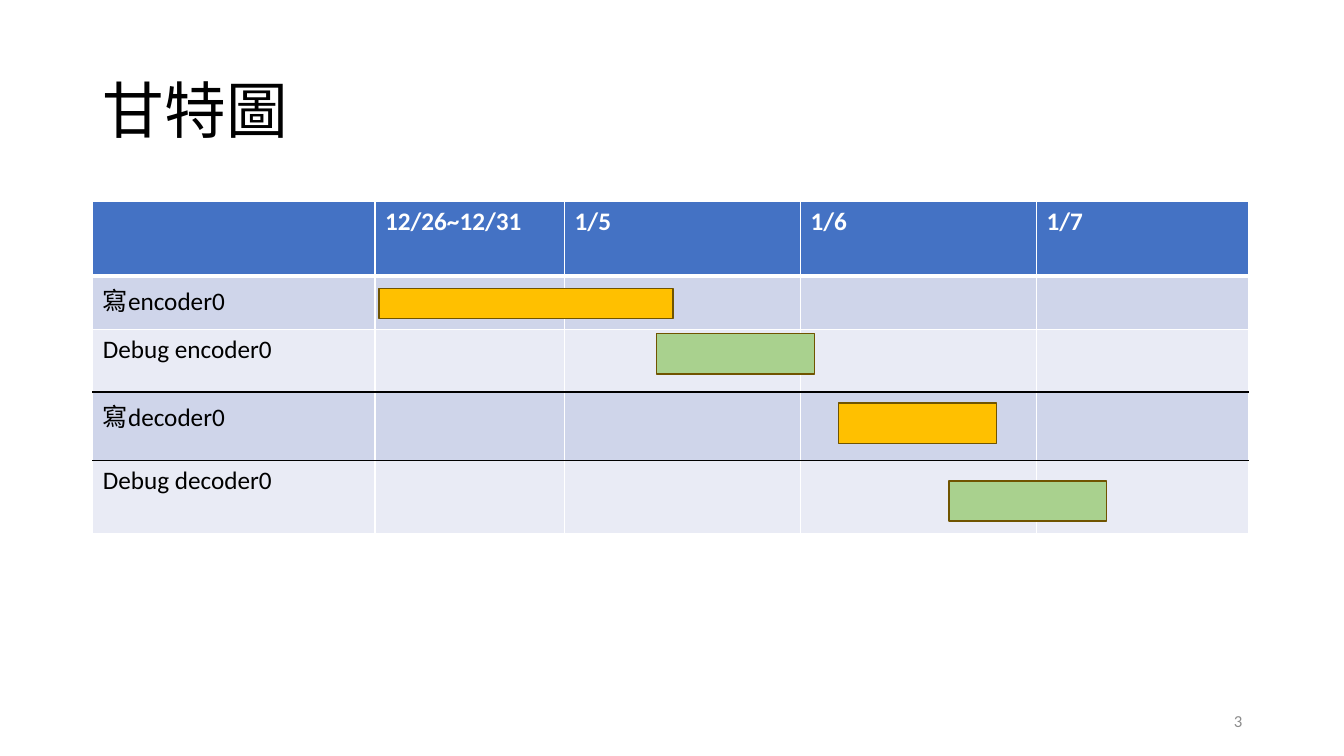
from itertools import accumulate
from typing import Any, NamedTuple

from lxml import etree
from pptx import Presentation, util as u
from pptx.dml.color import RGBColor
from pptx.enum import shapes, text
from pptx.oxml.ns import qn

FONT = "Calibri"
WHITE, BLACK = "FFFFFF", "000000"
AMBER, GREEN = "FFC000", "A9D18E"
LEFT, TOP = 0.92, 2
COLS = [2.8, 1.88, 2.34, 2.34, 2.1]
ROWS = [0.74, 0.53, 0.62, 0.68, 0.72]
DATES = ["", "12/26~12/31", "1/5", "1/6", "1/7"]
TASKS = ["寫encoder0", "Debug encoder0", "寫decoder0", "Debug decoder0"]


class Edge(NamedTuple):
    color: str = WHITE
    width: float = 1


# Horizontal rules from the top of the table to its bottom
RULES = [Edge(), Edge(width=3), Edge(), Edge(BLACK), Edge(BLACK), Edge()]


class Bar(NamedTuple):
    """Start and end, in table columns and rows; 2.5 is halfway through index 2."""
    left: float
    right: float
    top: float
    bottom: float
    color: str


BARS = [
    Bar(1.02, 2.46, 1.23, 1.79, AMBER),
    Bar(2.39, 3.06, 2.06, 2.71, GREEN),
    Bar(3.16, 3.83, 3.16, 3.75, AMBER),
    Bar(3.63, 4.33, 4.28, 4.83, GREEN),
]


def rgb(code: str) -> RGBColor:
    return RGBColor.from_string(code)


def assign(item: Any, values: dict[str, Any]) -> None:
    for name, value in values.items():
        setattr(item, name, value)


def write(frame: Any, words: str, size: float, color: str,
          bold: bool = False, **layout: Any) -> None:
    para = frame.paragraphs[0]
    assign(para, layout)
    run = para.add_run()
    run.text = words
    assign(run.font, {"name": FONT, "size": u.Pt(size), "bold": bold})
    run.font.color.rgb = rgb(color)


def border(cell: Any, side: str, edge: Edge) -> None:
    props = cell._tc.get_or_add_tcPr()
    line = etree.SubElement(props, qn(f"a:ln{side}"), w=str(u.Pt(edge.width)))
    fill = etree.SubElement(line, qn("a:solidFill"))
    etree.SubElement(fill, qn("a:srgbClr"), val=edge.color)


def place(spot: float, sizes: list[float], start: float) -> u.Length:
    """Turn a fractional grid index into a length on the slide."""
    index = int(spot)
    edges = list(accumulate(sizes, initial=start))
    return u.Inches(edges[index] + (spot - index) * sizes[index])


def add_grid(slide: Any) -> None:
    box = [u.Inches(n) for n in (LEFT, TOP, sum(COLS), sum(ROWS))]
    table = slide.shapes.add_table(len(ROWS), len(COLS), *box).table
    for col, width in zip(table.columns, COLS):
        col.width = u.Inches(width)
    for row, height in zip(table.rows, ROWS):
        row.height = u.Inches(height)
    words = [DATES] + [[task] + [""] * (len(COLS) - 1) for task in TASKS]
    for r, line in enumerate(words):
        head = r == 0
        shade = "4472C4" if head else "CFD5EA" if r % 2 else "E9EBF5"
        for c, label in enumerate(line):
            cell = table.cell(r, c)
            sides = {"L": Edge(), "R": Edge(), "T": RULES[r], "B": RULES[r + 1]}
            for side, edge in sides.items():
                border(cell, side, edge)
            cell.fill.solid()
            cell.fill.fore_color.rgb = rgb(shade)
            if label:
                write(cell.text_frame, label, 18, WHITE if head else BLACK, head)


def add_bar(slide: Any, bar: Bar) -> None:
    left, right = (place(x, COLS, LEFT) for x in (bar.left, bar.right))
    top, base = (place(y, ROWS, TOP) for y in (bar.top, bar.bottom))
    shape = slide.shapes.add_shape(
        shapes.MSO_SHAPE.RECTANGLE, left, top, right - left, base - top)
    shape.shadow.inherit = False
    shape.fill.solid()
    shape.fill.fore_color.rgb = rgb(bar.color)
    shape.line.color.rgb = rgb("705400")
    shape.line.width = u.Pt(1)


def main() -> None:
    deck = Presentation()
    assign(deck, {"slide_width": u.Inches(13.33), "slide_height": u.Inches(7.5)})
    slide = deck.slides.add_slide(deck.slide_layouts[5])
    middle = {"vertical_anchor": text.MSO_ANCHOR.MIDDLE, "word_wrap": True}

    title = slide.shapes.title
    assign(title, {"left": u.Inches(LEFT), "top": u.Inches(0.4),
                   "width": u.Inches(11.5), "height": u.Inches(1.45)})
    assign(title.text_frame, middle)
    write(title.text_frame, "甘特圖", 44, BLACK,
          alignment=text.PP_ALIGN.LEFT, line_spacing=0.9)

    add_grid(slide)
    for bar in BARS:
        add_bar(slide, bar)

    number = slide.shapes.add_textbox(
        *[u.Inches(n) for n in (9.42, 6.95, 3, 0.4)])
    assign(number.text_frame, middle)
    write(number.text_frame, "3", 12, "8C8C8C", alignment=text.PP_ALIGN.RIGHT)
    deck.save("out.pptx")


if __name__ == "__main__":
    main()
